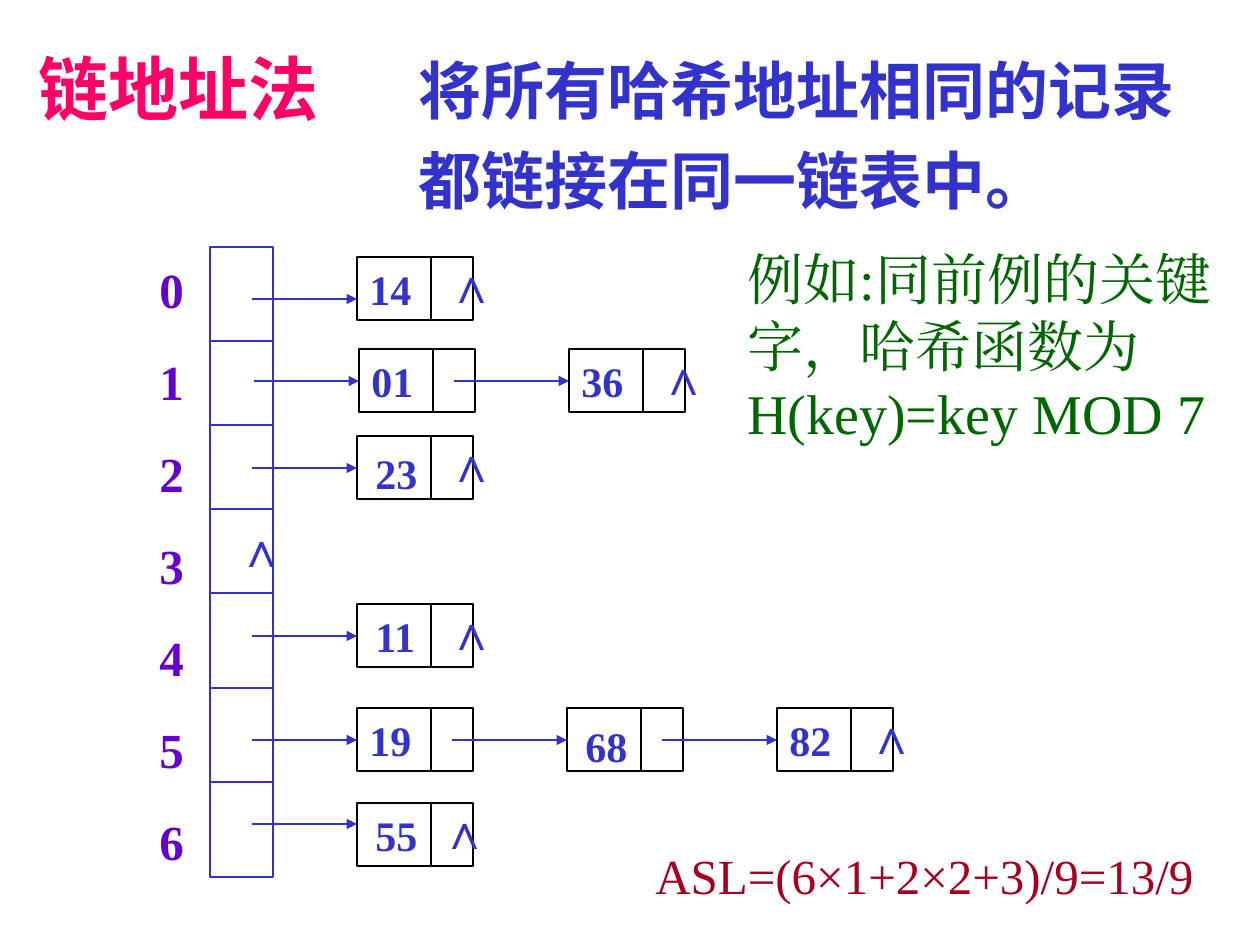
"""Build a slide on separate chaining in hash tables."""
from lxml.etree import SubElement
from pptx import Presentation
from pptx.dml.color import RGBColor
from pptx.enum.shapes import MSO_CONNECTOR, MSO_SHAPE
from pptx.enum.text import MSO_ANCHOR, MSO_AUTO_SIZE, PP_ALIGN
from pptx.oxml.ns import qn
from pptx.util import Emu, Pt

PX = 914400 // 126
COLORS = {"blue": "3333CC", "black": "000000", "pink": "FF0066",
          "purple": "6600CC", "red": "A50021", "green": "006600"}
HAN, SERIF, SANS = "Noto Sans CJK SC", "Times New Roman", "Arial"

DEFINITION = ["将所有哈希地址相同的记录", "都链接在同一链表中。"]
TITLE = ["链地址法"]
EXAMPLE = ["例如:同前例的关键字，哈希函数为 H(key)=key MOD 7"]
AVERAGE = ["ASL=(6×1+2×2+3)/9=13/9"]
INDEXES = [str(index) for index in range(7)]
NULL = ["∧"]

TABLE = (210, 247, 63, 630)
SLOT_LINES = [341, 425, 509, 593, 688, 782]
NODE_W, NODE_H, NODE_PITCH = 116, 63, 210
DIVIDER, LINK_START, BUCKET_REACH = 74, 95, 105
CHAINS = [
    {"left": 357, "top": 257, "arrow": 42, "keys": ["14"]},
    {"left": 359, "top": 349, "keys": ["01", "36"]},
    {"left": 357, "top": 436, "keys": ["23"]},
    {"left": 357, "top": 604, "keys": ["11"]},
    {"left": 357, "top": 708, "keys": ["19", "68", "82"]},
    {"left": 357, "top": 803, "arrow": 21, "null": 71, "keys": ["55"]},
]
LOOSE_KEYS = {"23": (6, 5), "11": (6, 0), "68": (6, 6), "55": (6, 0)}


def px(*lengths):
    return [Emu(length * PX) for length in lengths]


def rgb(name):
    return RGBColor.from_string(COLORS[name])


def write(frame, lines, size, font, color, bold=True, wrap=False,
          spacing=None, before=0, margin=0):
    frame.word_wrap = wrap
    for number, line in enumerate(lines):
        paragraph = frame.add_paragraph() if number else frame.paragraphs[0]
        paragraph.alignment = PP_ALIGN.LEFT
        if spacing:
            paragraph.line_spacing = spacing
        if before and number:
            paragraph.space_before = Pt(before)
        if margin:
            paragraph._p.get_or_add_pPr().set("marL", str(margin * PX))
        run = paragraph.add_run()
        run.text = line
        run.font.size, run.font.bold, run.font.name = Pt(size), bold, font
        run.font.color.rgb = rgb(color)
        SubElement(run._r.get_or_add_rPr(), qn("a:ea")).set("typeface", font)


def add_text(shapes, box, lines, size, font, color, **style):
    frame = shapes.add_textbox(*px(*box)).text_frame
    write(frame, lines, size, font, color, **style)
    frame.auto_size = MSO_AUTO_SIZE.SHAPE_TO_FIT_TEXT


def add_frame(shapes, box, color):
    outline = shapes.add_shape(MSO_SHAPE.RECTANGLE, *px(*box))
    outline.shadow.inherit = False
    outline.fill.background()
    outline.line.color.rgb = rgb(color)
    outline.line.width = Pt(0.75)
    return outline


def add_line(shapes, ends, color, width=0.75, arrow=False):
    line = shapes.add_connector(MSO_CONNECTOR.STRAIGHT, *px(*ends))
    line.line.color.rgb = rgb(color)
    line.line.width = Pt(width)
    if arrow:
        SubElement(line.line._get_or_add_ln(), qn("a:tailEnd")).set("type", "triangle")
    SubElement(line._element.spPr, qn("a:effectLst"))


def add_null(shapes, left, top):
    add_text(shapes, (left, top, 42, 72), NULL, 28, SANS, "blue")


def add_node(shapes, left, top, key):
    node = add_frame(shapes, (left, top, NODE_W, NODE_H), "black")
    if key in LOOSE_KEYS:
        dx, dy = LOOSE_KEYS[key]
        add_text(shapes, (left + dx, top + dy, 67, 63), [key], 24, SERIF, "blue")
    else:
        write(node.text_frame, [key], 24, SERIF, "blue")
        node.text_frame.vertical_anchor = MSO_ANCHOR.MIDDLE
    split = left + DIVIDER
    add_line(shapes, (split, top, split, top + NODE_H), "black")


def add_chain(shapes, chain):
    top = chain["top"]
    level = top + chain.get("arrow", 32)
    start = chain["left"] - BUCKET_REACH
    for number, key in enumerate(chain["keys"]):
        left = chain["left"] + number * NODE_PITCH
        add_node(shapes, left, top, key)
        add_line(shapes, (start, level, left, level), "blue", 1.5, True)
        start = left + LINK_START
    add_null(shapes, left + chain.get("null", 78), top - 9)


def add_table_column(shapes):
    left, _, width, _ = TABLE
    add_frame(shapes, TABLE, "blue")
    for level in SLOT_LINES:
        add_line(shapes, (left, level, left + width, level), "blue")
    add_text(shapes, (147, 253, 73, 609), INDEXES, 28, SERIF, "purple",
             wrap=True, before=19)


def main():
    deck = Presentation()
    deck.slide_width, deck.slide_height = px(1260, 945)
    shapes = deck.slides.add_slide(deck.slide_layouts[6]).shapes
    add_text(shapes, (353, 30, 907, 305), DEFINITION, 36, HAN, "blue",
             wrap=True, spacing=1.2, margin=53)
    add_text(shapes, (26, 39, 425, 97), TITLE, 40, HAN, "pink", wrap=True)
    add_table_column(shapes.add_group_shape().shapes)
    for chain in CHAINS:
        add_chain(shapes.add_group_shape().shapes, chain)
    add_null(shapes, 225, 512)
    add_text(shapes, (643, 839, 563, 72), AVERAGE, 28, SERIF, "red", bold=False)
    add_text(shapes, (735, 238, 525, 214), EXAMPLE, 32, SERIF, "green",
             bold=False, wrap=True)
    deck.save("out.pptx")


if __name__ == "__main__":
    main()
